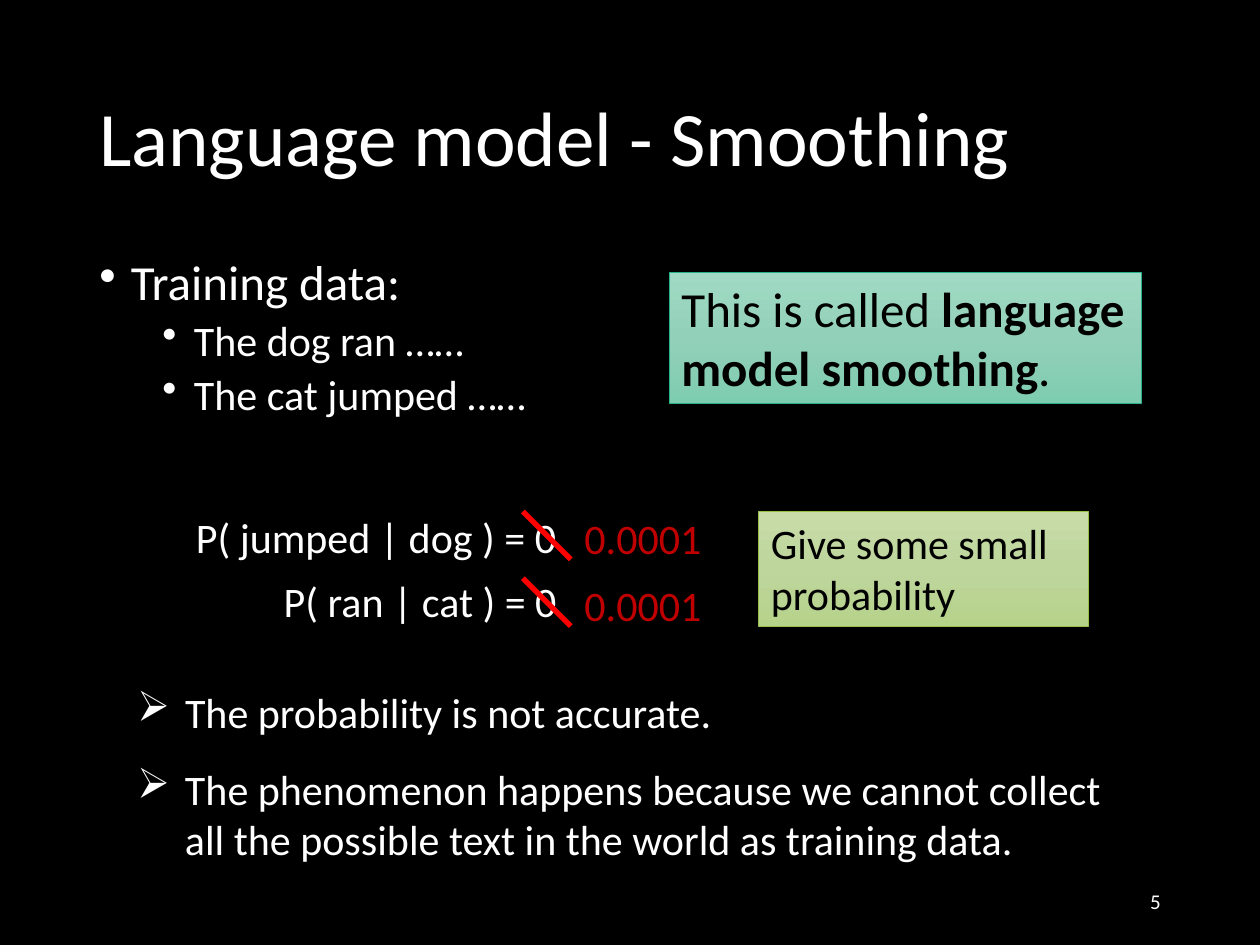
import copy
from dataclasses import dataclass

import pptx
import pptx.dml.color
import pptx.enum.shapes
import pptx.enum.text
import pptx.oxml
import pptx.oxml.ns
import pptx.util

Inches = pptx.util.Inches
Pt = pptx.util.Pt
Align = pptx.enum.text.PP_ALIGN
Anchor = pptx.enum.text.MSO_ANCHOR
qn = pptx.oxml.ns.qn


def rgb(code):
    return pptx.dml.color.RGBColor.from_string(code)


def assign(target, values):
    for name, value in values.items():
        setattr(target, name, value)


def node(tag, attrs=""):
    """Make an empty element of the drawing namespace."""
    return pptx.oxml.parse_xml(
        f'<a:{tag} {pptx.oxml.ns.nsdecls("a")} {attrs}/>')


@dataclass(frozen=True)
class Theme:
    font: str = "Calibri"
    back: str = "000000"
    light: str = "FFFFFF"
    dark: str = "000000"
    strike: str = "FF0000"
    fix: str = "C00000"
    green: tuple = ("C8DCA9", "BED59C", "B6D38A")
    green_edge: str = "97BE49"
    teal: tuple = ("A0DAC4", "93D0B9", "7ECDB1")
    teal_edge: str = "29AF8C"
    title: int = 44
    head: int = 28
    text: int = 24
    small: int = 12


class Deck:
    def __init__(self, theme):
        self.theme = theme
        self.show = pptx.Presentation()
        assign(self.show, {"slide_width": Inches(10), "slide_height": Inches(7.5)})
        self.slide = self.show.slides.add_slide(self.show.slide_layouts[6])
        fill = self.slide.background.fill
        fill.solid()
        fill.fore_color.rgb = rgb(theme.back)

    def typeset(self, para, runs, size, color, **form):
        """Fill a paragraph with (text, bold) runs."""
        assign(para, form)
        for words, bold in runs:
            run = para.add_run()
            run.text = words
            assign(run.font, {"name": self.theme.font, "size": Pt(size), "bold": bold})
            run.font.color.rgb = rgb(color)

    def bullet(self, para, mark, left, hang):
        props = para._p.get_or_add_pPr()
        props.set("marL", str(Inches(left)))
        props.set("indent", str(-Inches(hang)))
        props.append(node("buChar", f'char="{mark}"'))

    def box(self, place, anchor=Anchor.TOP):
        frame = self.slide.shapes.add_textbox(*map(Inches, place)).text_frame
        assign(frame, {"word_wrap": True, "vertical_anchor": anchor})
        return frame

    def label(self, place, words, size=None, color=None, anchor=Anchor.TOP, **form):
        para = self.box(place, anchor).paragraphs[0]
        self.typeset(para, [(words, False)], size or self.theme.text,
                     color or self.theme.light, **form)
        return para

    def outline(self, place, items):
        """Add (text, level) items as one bulleted list."""
        frame = self.box(place)
        for index, (words, level) in enumerate(items):
            para = frame.add_paragraph() if index else frame.paragraphs[0]
            size, gap = ((self.theme.head, 10), (self.theme.text, 5))[level]
            self.typeset(para, [(words, False)], size, self.theme.light,
                         level=level, line_spacing=0.9, space_before=Pt(gap))
            self.bullet(para, "•", 0.25 + 0.5 * level, 0.25)

    def card(self, place, runs, size, shades, edge):
        """Add a rectangle shaded from top to bottom."""
        shape = self.slide.shapes.add_shape(
            pptx.enum.shapes.MSO_SHAPE.RECTANGLE, *map(Inches, place))
        shape.shadow.inherit = False
        shape.fill.gradient()
        shape.fill.gradient_angle = 270
        stops = shape._element.spPr.find(qn("a:gradFill")).find(qn("a:gsLst"))
        stops.insert(1, copy.deepcopy(stops[0]))
        for index, (stop, shade) in enumerate(zip(shape.fill.gradient_stops, shades)):
            stop.color.rgb = rgb(shade)
            stop.position = index / 2
        shape.line.color.rgb = rgb(edge)
        shape.line.width = Pt(0.5)
        frame = shape.text_frame
        assign(frame, {"word_wrap": True, "vertical_anchor": Anchor.TOP})
        self.typeset(frame.paragraphs[0], runs, size, self.theme.dark,
                     alignment=Align.LEFT)

    def stroke(self, start, end):
        line = self.slide.shapes.add_connector(
            pptx.enum.shapes.MSO_CONNECTOR.STRAIGHT, *map(Inches, start + end))
        line.line.color.rgb = rgb(self.theme.strike)
        line.line.width = Pt(3)
        line._element.spPr.append(node("effectLst"))


def main():
    theme = Theme()
    deck = Deck(theme)
    deck.label((0.69, 0.4, 8.62, 1.45), "Language model - Smoothing",
               theme.title, anchor=Anchor.MIDDLE, line_spacing=0.9)
    deck.outline((0.69, 2, 8.62, 4.76), [
        ("Training data:", 0), ("The dog ran ……", 1), ("The cat jumped ……", 1)])

    for left, top, words in ((1.27, 4.01, "P( jumped | dog ) = 0"),
                             (1.62, 4.52, "P( ran | cat ) = 0")):
        deck.label((left, top, 3.43, 0.5), words, alignment=Align.CENTER)

    for place, words in (
            ((0.99, 5.4, 6.22, 0.5), "The probability is not accurate."),
            ((0.99, 6.01, 8.14, 0.91),
             "The phenomenon happens because we cannot collect all the possible "
             "text in the world as training data.")):
        deck.bullet(deck.label(place, words), "➢", 0.38, 0.38)

    deck.card((6.02, 4.06, 2.62, 0.91), [("Give some small probability", False)],
              theme.text, theme.green, theme.green_edge)
    deck.card((5.31, 2.16, 3.75, 1.04),
              [("This is called ", False), ("language model smoothing", True),
               (".", False)], theme.head, theme.teal, theme.teal_edge)

    for top in (4.02, 4.55):
        deck.stroke((4.15, top + 0.04), (4.53, top + 0.42))
        deck.label((4.54, top, 1.24, 0.5), "0.0001", color=theme.fix)

    deck.label((7.06, 6.95, 2.25, 0.4), "5", theme.small,
               anchor=Anchor.MIDDLE, alignment=Align.RIGHT)
    deck.show.save("out.pptx")


if __name__ == "__main__":
    main()
